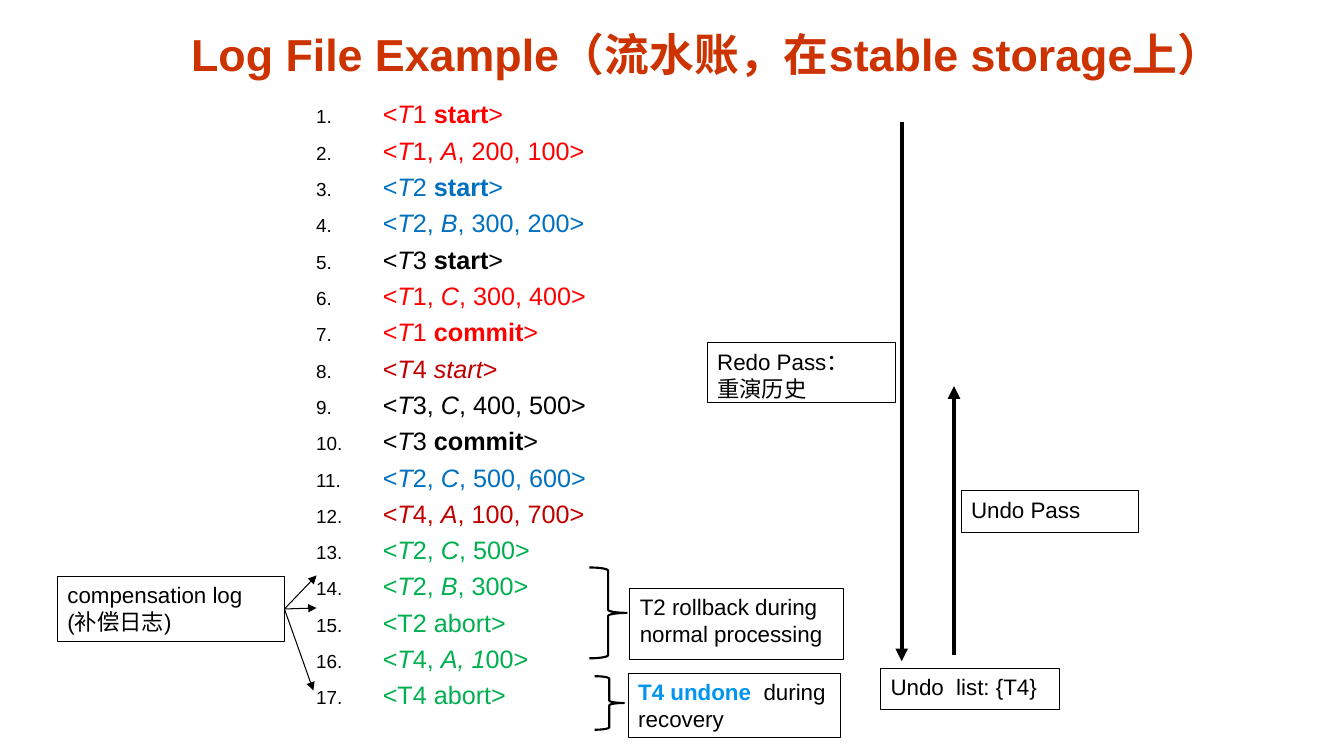
from dataclasses import dataclass

from lxml import etree
from pptx import Presentation
from pptx import util as u
from pptx.dml.color import RGBColor
from pptx.enum import shapes, text
from pptx.oxml.ns import qn


@dataclass(frozen=True)
class Theme:
    font: str = "Arial"
    title: str = "CC3300"
    ink: str = "000000"
    paper: str = "FFFFFF"
    red: str = "FF0000"
    blue: str = "0070C0"
    crimson: str = "C00000"
    green: str = "00B050"
    sky: str = "0095F1"
    title_size: float = 32
    log_size: float = 18
    label_size: float = 16
    thin: float = 0.75
    medium: float = 1.5
    thick: float = 3


THEME = Theme()

LOG = [
    (THEME.red, "<_T_1 *start*>"),
    (THEME.red, "<_T_1, _A_, 200, 100>"),
    (THEME.blue, "<_T_2 *start*>"),
    (THEME.blue, "<_T_2, _B_, 300, 200>"),
    (THEME.ink, "<_T_3 *start*>"),
    (THEME.red, "<_T_1, _C_, 300, 400>"),
    (THEME.red, "<_T_1 *commit*>"),
    (THEME.crimson, "<_T_4 _start_>"),
    (THEME.ink, "<_T_3, _C_, 400, 500>"),
    (THEME.ink, "<_T_3 *commit*>"),
    (THEME.blue, "<_T_2, _C_, 500, 600>"),
    (THEME.crimson, "<_T_4, _A_, 100, 700>"),
    (THEME.green, "<_T_2, _C_, 500>"),
    (THEME.green, "<_T_2, _B_, 300>"),
    (THEME.green, "<T2 abort>"),
    (THEME.green, "<_T_4, _A, 1_00>"),
    (THEME.green, "<T4 abort>"),
]


class SlideWriter:
    def __init__(self, page, theme):
        self.page = page
        self.theme = theme

    def span(self, para, words, size, color, bold=False, italic=False):
        span = para.add_run()
        span.text = words
        span.font.name = self.theme.font
        span.font.size = u.Pt(size)
        span.font.bold = bold
        span.font.italic = italic
        span.font.color.rgb = RGBColor.from_string(color)

    def marked_spans(self, para, marked, size, color):
        for i, part in enumerate(marked.split("*")):
            for j, words in enumerate(part.split("_")):
                if words:
                    self.span(para, words, size, color, i % 2 == 1, j % 2 == 1)

    def text_box(self, left, top, width, height):
        box = self.page.shapes.add_textbox(*map(u.Cm, (left, top, width, height)))
        box.text_frame.word_wrap = True
        return box.text_frame

    def title(self, words, *place):
        frame = self.text_box(*place)
        frame.vertical_anchor = text.MSO_ANCHOR.BOTTOM
        para = frame.paragraphs[0]
        para.alignment = text.PP_ALIGN.CENTER
        self.span(para, words, self.theme.title_size, self.theme.title, bold=True)

    def numbered_list(self, entries, *place):
        frame = self.text_box(*place)
        for index, (color, marked) in enumerate(entries):
            para = frame.add_paragraph() if index else frame.paragraphs[0]
            para.line_spacing = 0.8
            para.space_before = u.Pt(8.64)
            self.number(para)
            self.marked_spans(para, marked, self.theme.log_size, color)

    def number(self, para):
        properties = para._p.get_or_add_pPr()
        properties.set("marL", str(u.Cm(4.04)))
        properties.set("indent", str(u.Cm(-1.68)))
        bullet_color = etree.SubElement(properties, qn("a:buClr"))
        etree.SubElement(bullet_color, qn("a:srgbClr"), val=self.theme.ink)
        etree.SubElement(properties, qn("a:buSzPct"), val="75000")
        etree.SubElement(properties, qn("a:buFont"), typeface=self.theme.font)
        etree.SubElement(properties, qn("a:buAutoNum"), type="arabicPeriod")

    def shape(self, kind, weight, *place):
        shape = self.page.shapes.add_shape(kind, *map(u.Cm, place))
        shape.shadow.inherit = False
        shape.fill.solid()
        shape.fill.fore_color.rgb = RGBColor.from_string(self.theme.paper)
        shape.line.color.rgb = RGBColor.from_string(self.theme.ink)
        shape.line.width = u.Pt(weight)
        return shape

    def brace(self, *place):
        self.shape(shapes.MSO_SHAPE.RIGHT_BRACE, self.theme.medium, *place)

    def label(self, lines, *place):
        box = self.shape(shapes.MSO_SHAPE.RECTANGLE, self.theme.thin, *place)
        frame = box.text_frame
        frame.word_wrap = True
        frame.vertical_anchor = text.MSO_ANCHOR.TOP
        for index, spans in enumerate(lines):
            para = frame.add_paragraph() if index else frame.paragraphs[0]
            para.alignment = text.PP_ALIGN.LEFT
            for words, color, bold in spans:
                self.span(para, words, self.theme.label_size, color, bold)
        return box

    def plain_label(self, lines, *place):
        return self.label([[(line, self.theme.ink, False)] for line in lines], *place)

    def arrow(self, start, end, weight, source=None):
        arrow = self.page.shapes.add_connector(
            shapes.MSO_CONNECTOR.STRAIGHT, *map(u.Cm, (*start, *end)))
        arrow.line.color.rgb = RGBColor.from_string(self.theme.ink)
        arrow.line.width = u.Pt(weight)
        etree.SubElement(arrow.line._get_or_add_ln(), qn("a:tailEnd"), type="triangle")
        etree.SubElement(arrow._element.spPr, qn("a:effectLst"))
        if source is not None:
            arrow.begin_connect(source, 3)


def main():
    deck = Presentation()
    deck.slide_width, deck.slide_height = u.Cm(33.88), u.Cm(19.05)
    page = deck.slides.add_slide(deck.slide_layouts[6])
    writer = SlideWriter(page, THEME)

    writer.title("Log File Example（流水账，在stable storage上）", 3.2, 0.46, 29.24, 1.7)
    writer.numbered_list(LOG, 5.36, 2.51, 19.28, 15.98)

    writer.brace(14.86, 14.3, 0.94, 2.29)
    writer.plain_label(["T2 rollback during", "normal processing"], 15.88, 14.83, 5.38, 1.78)
    writer.brace(14.99, 17.04, 0.74, 1.35)
    writer.label([[("T4 undone  ", THEME.sky, True), ("during", THEME.ink, False)],
                  [("recovery", THEME.ink, False)]], 15.84, 16.97, 5.36, 1.62)

    writer.arrow((22.73, 3.07), (22.73, 16.66), THEME.thick)
    writer.arrow((24.05, 16.51), (24.05, 9.73), THEME.thick)
    writer.plain_label(["Redo Pass：", "重演历史"], 17.83, 8.64, 4.75, 1.5)
    writer.plain_label(["Undo Pass"], 24.23, 12.37, 4.47, 1.04)

    compensation = writer.plain_label(
        ["compensation log", "(补偿日志)"], 1.45, 14.53, 5.72, 1.63)
    for end in [(7.98, 15.32), (7.98, 14.5), (7.9, 17.4)]:
        writer.arrow((7.17, 15.34), end, THEME.thin, compensation)
    writer.plain_label(["Undo  list: {T4}"], 22.2, 16.84, 4.5, 1.04)

    deck.save("out.pptx")


if __name__ == "__main__":
    main()
